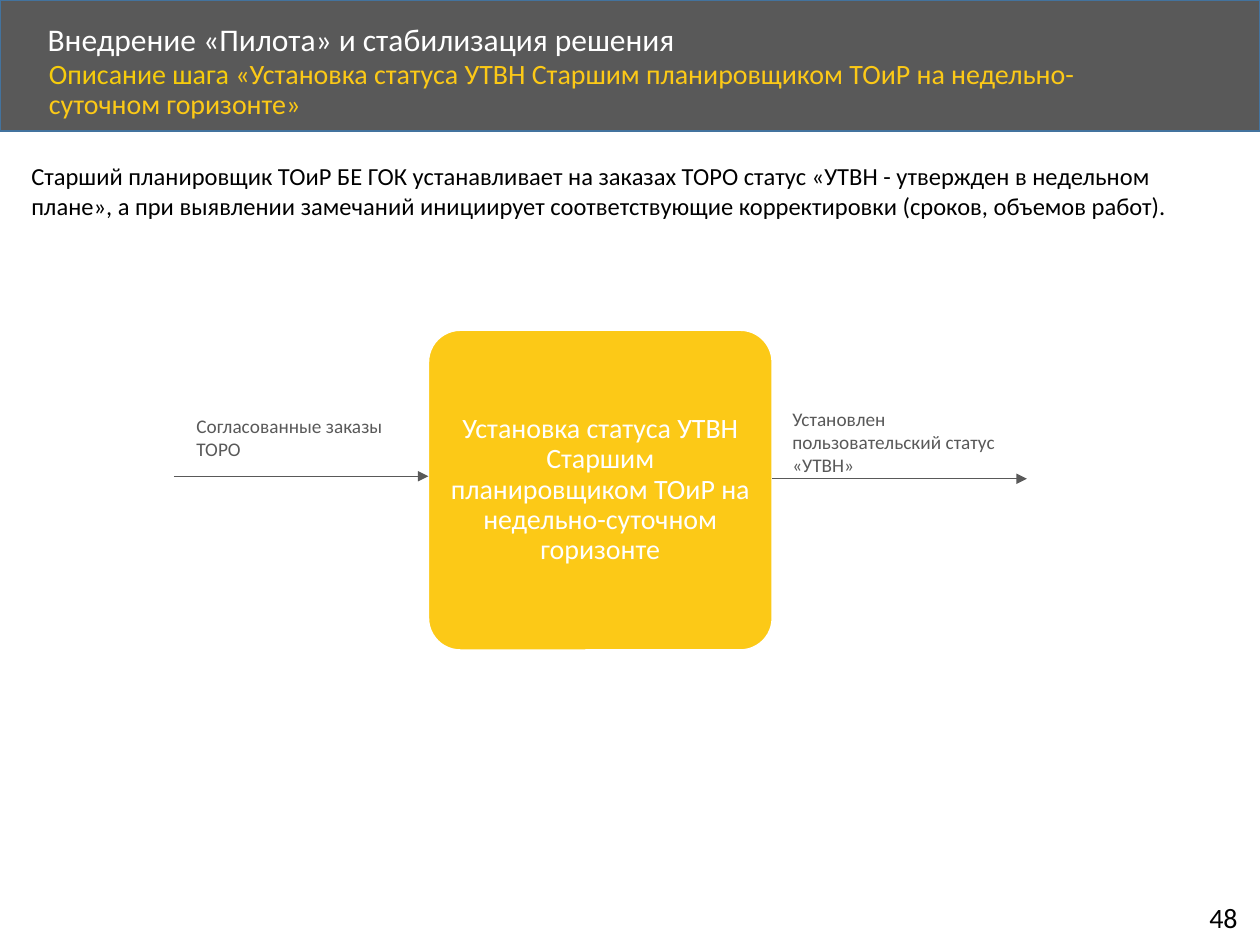
from lxml.etree import SubElement as Sub
from pptx import Presentation as Deck
from pptx.dml.color import RGBColor as Rgb
from pptx.enum.shapes import MSO_CONNECTOR as Link, MSO_SHAPE as Form
from pptx.enum.text import MSO_ANCHOR as Anchor, PP_ALIGN as Align
from pptx.oxml.ns import qn
from pptx.util import Inches, Pt

HUES = {"gray": "595959", "edge": "43739E", "gold": "FCC917",
        "sun": "F6CC0C", "white": "FFFFFF", "black": "000000"}
COLS, ROWS = 100, 75
UNIT = Inches(10) // COLS


def hue(name):
    """Return the named colour."""
    return Rgb.from_string(HUES[name])


def place(box, x, y, w, h):
    """Turn a grid cell counted from the box corner into slide lengths."""
    return [round(n * UNIT) for n in (box[0] + x, box[1] + y, w, h)]


def write(shape, *runs, size, align=Align.LEFT, anchor=Anchor.TOP,
          wrap=True, lead=1.0, pad=None):
    """Fill a shape with one paragraph of (text, colour) runs."""
    frame = shape.text_frame
    frame.word_wrap = wrap
    frame.vertical_anchor = anchor
    if pad is not None:
        frame.margin_left = frame.margin_right = pad
        frame.margin_top = frame.margin_bottom = pad
    para = frame.paragraphs[0]
    para.alignment = align
    para.line_spacing = lead
    for text, tint in runs:
        run = para.add_run()
        run.text = text
        run.font.name = "Calibri"
        run.font.size = Pt(size)
        run.font.color.rgb = hue(tint)


def label(slide, spot, *runs, **style):
    """Add a text box with formatted runs."""
    write(slide.shapes.add_textbox(*spot), *runs, **style)


def block(slide, form, spot, fill, edge):
    """Add a flat filled shape with a thin edge."""
    shape = slide.shapes.add_shape(form, *spot)
    shape.shadow.inherit = False
    shape.fill.solid()
    shape.fill.fore_color.rgb = hue(fill)
    shape.line.color.rgb = hue(edge)
    shape.line.width = Pt(1)
    return shape


def arrow(slide, spot):
    """Add a thin arrow that points right."""
    x, y, w, h = spot
    line = slide.shapes.add_connector(Link.STRAIGHT, x, y, x + w, y + h)
    line.line.color.rgb = hue("gray")
    line.line.width = Pt(0.5)
    Sub(line.line._get_or_add_ln(), qn("a:tailEnd"), type="triangle")
    Sub(line._element.spPr, qn("a:effectLst"))


def header(slide, box):
    """Draw the title band."""
    block(slide, Form.RECTANGLE, place(box, 0, 0, *box[2:]), "gray", "edge")
    label(slide, place(box, 2.8, 1.4, 80.7, 3.8),
          ("Внедрение «Пилота» и стабилизация решения", "white"),
          size=18, anchor=Anchor.MIDDLE, lead=0.9)
    label(slide, place(box, 2.9, 4.3, 86.7, 4.5),
          ("Описание шага ", "sun"),
          ("«Установка статуса УТВН Старшим планировщиком ТОиР "
           "на недельно-суточном горизонте»", "gold"),
          size=16, lead=0.9)


def intro(slide, box):
    """Write the description of the step."""
    label(slide, place(box, 0, 0, *box[2:]),
          ("Старший планировщик ТОиР БЕ ГОК устанавливает на заказах ТОРО "
           "статус «УТВН - утвержден в недельном плане», а при выявлении "
           "замечаний инициирует соответствующие корректировки (сроков, "
           "объемов работ).", "black"), size=14)


def flow(slide, box):
    """Draw the step with its input and output."""
    wide, high = box[2:]
    reach = 20.2
    body = wide - 2 * reach
    step = block(slide, Form.ROUNDED_RECTANGLE,
                 place(box, reach, 0, body, high), "gold", "white")
    step.adjustments[0] = 0.1
    write(step, ("Установка статуса УТВН Старшим планировщиком ТОиР "
                 "на недельно-суточном горизонте", "white"),
          size=16, align=Align.CENTER, anchor=Anchor.MIDDLE, lead=0.9,
          pad=Inches(0.07))
    flows = [
        (0, 11.6, 0.8, 6.2, 4.7, "Согласованные заказы ТОРО"),
        (reach + body, 11.8, 0.6, 5.6, 6.6,
         "Установлен пользовательский статус «УТВН»"),
    ]
    for x, y, gap, top, tall, text in flows:
        arrow(slide, place(box, x, y, reach, 0))
        label(slide, place(box, x + gap, top, 20, tall), (text, "gray"),
              size=11)


def footer(slide, box):
    """Write the page number."""
    label(slide, place(box, 0, 0, *box[2:]), ("48", "black"),
          size=16, wrap=False)


def main():
    """Build and save the slide."""
    deck = Deck()
    deck.slide_width, deck.slide_height = COLS * UNIT, ROWS * UNIT
    slide = deck.slides.add_slide(deck.slide_layouts[6])
    header(slide, (0, 0, COLS, 10.4))
    intro(slide, (1.5, 12.3, 94.6, 5.7))
    flow(slide, (13.8, 26.2, 67.7, 25.4))
    footer(slide, (95, 71, 4.6, 3.7))
    deck.save("out.pptx")


if __name__ == "__main__":
    main()
